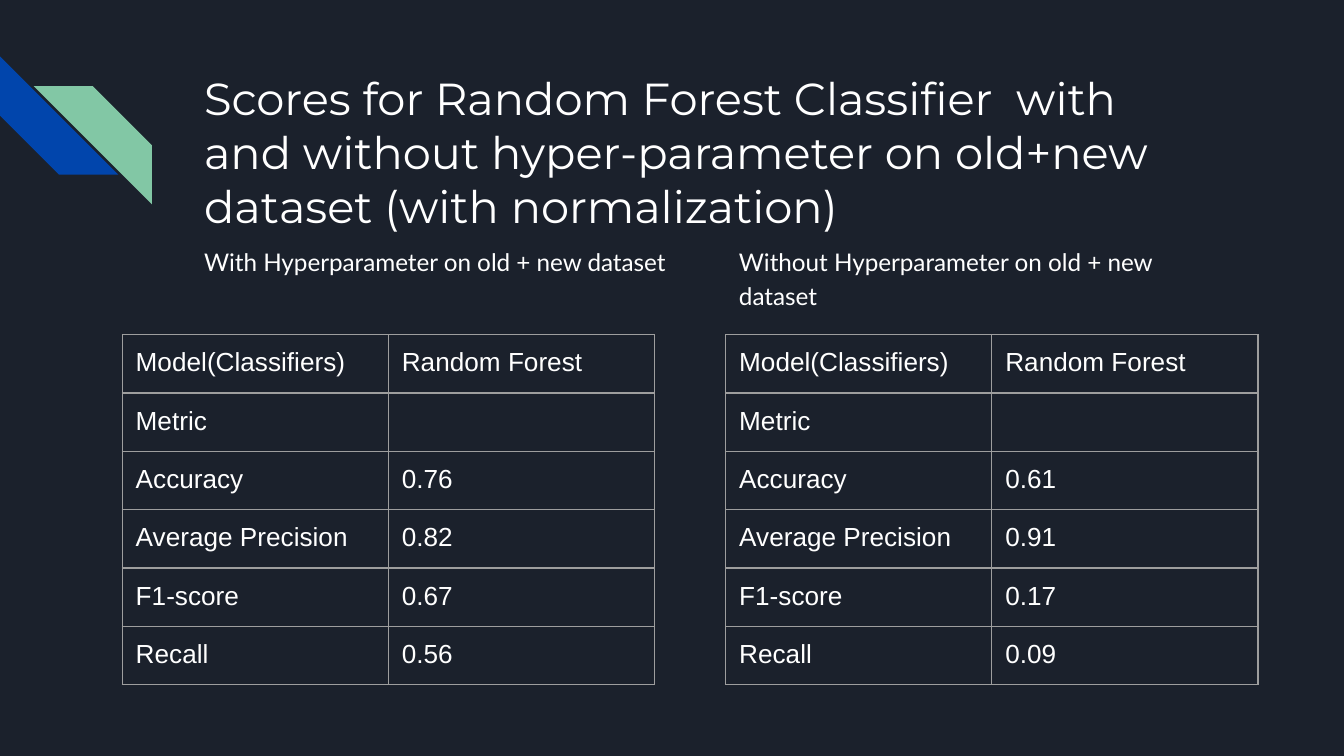
import pptx
import pptx.dml.color
import pptx.enum.shapes
import pptx.enum.text
import pptx.oxml
import pptx.oxml.ns
import pptx.util
from pptx.util import Inches

WHITE = "FFFFFF"
BORDER = "9E9E9E"
METRICS = ["Accuracy", "Average Precision", "F1-score", "Recall"]
PANELS = [
    (1.42, 0.91, "With Hyperparameter on old + new dataset",
     ["0.76", "0.82", "0.67", "0.56"]),
    (5.4, 5.4, "Without Hyperparameter on old + new  dataset",
     ["0.61", "0.91", "0.17", "0.09"]),
]


def paint(color_format, color):
    """Give a fill or font a solid hex colour."""
    color_format.rgb = pptx.dml.color.RGBColor.from_string(color)


def style_paragraph(paragraph, font_name, size):
    """Set white text in one font and size on a paragraph."""
    paragraph.font.name = font_name
    paragraph.font.size = pptx.util.Pt(size)
    paint(paragraph.font.color, WHITE)


def set_margins(holder):
    """Set equal text margins on a text frame or cell."""
    holder.margin_left = holder.margin_right = Inches(0.1)
    holder.margin_top = holder.margin_bottom = Inches(0.1)


def add_stripe(slide, left, top, rotation, color):
    """Add one diagonal stripe of the corner ornament."""
    stripe = slide.shapes.add_shape(
        pptx.enum.shapes.MSO_SHAPE.DIAGONAL_STRIPE,
        Inches(left), Inches(top), Inches(0.88), Inches(0.88))
    stripe.adjustments[0] = 0.5
    stripe.rotation = rotation
    stripe.shadow.inherit = False
    stripe.fill.solid()
    paint(stripe.fill.fore_color, color)
    stripe.line.fill.background()


def add_text(slide, box, wording, font_name, size):
    """Add a wrapped text box and return its paragraph."""
    frame = slide.shapes.add_textbox(*map(Inches, box)).text_frame
    frame.word_wrap = True
    frame.vertical_anchor = pptx.enum.text.MSO_ANCHOR.TOP
    set_margins(frame)
    paragraph = frame.paragraphs[0]
    paragraph.text = wording
    style_paragraph(paragraph, font_name, size)
    return paragraph


def add_borders(cell):
    """Draw a thin grey line on each side of a cell."""
    properties = cell._tc.get_or_add_tcPr()
    for position, side in enumerate(["lnL", "lnR", "lnT", "lnB"]):
        line = pptx.oxml.parse_xml(
            f'<a:{side} {pptx.oxml.ns.nsdecls("a")} w="{pptx.util.Pt(0.75)}">'
            f'<a:solidFill><a:srgbClr val="{BORDER}"/></a:solidFill></a:{side}>')
        properties.insert(position, line)


def fill_cell(cell, wording):
    """Give a cell its borders, clear background and text."""
    cell.fill.background()
    add_borders(cell)
    if wording:
        set_margins(cell)
        cell.text = wording
        style_paragraph(cell.text_frame.paragraphs[0], "Arial", 14)
    else:
        cell.margin_top = cell.margin_bottom = 0
        cell.text_frame.paragraphs[0]._p.append(pptx.oxml.parse_xml(
            f'<a:endParaRPr {pptx.oxml.ns.nsdecls("a")} sz="1400"/>'))


def add_score_table(slide, left, scores):
    """Add the table of metrics for one model setting."""
    rows = [("Model(Classifiers)", "Random Forest"), ("Metric", "")]
    rows += zip(METRICS, scores)
    table = slide.shapes.add_table(
        len(rows), 2, Inches(left), Inches(2.49),
        Inches(3.96), Inches(0.42 * len(rows))).table
    table.first_row = table.horz_banding = False
    for row_index, row in enumerate(rows):
        for column_index, wording in enumerate(row):
            fill_cell(table.cell(row_index, column_index), wording)


def main():
    """Build and save the score comparison slide."""
    deck = pptx.Presentation()
    deck.slide_width = Inches(10)
    deck.slide_height = deck.slide_width * 9 // 16
    slide = deck.slides.add_slide(deck.slide_layouts[6])
    slide.background.fill.solid()
    paint(slide.background.fill.fore_color, "1B212C")

    add_stripe(slide, 0, 0.42, 270, "0145AC")
    add_stripe(slide, 0.25, 0.64, 90, "82C7A5")
    add_text(slide, (1.42, 0.43, 7.7, 1),
             "Scores for Random Forest Classifier  with and without "
             "hyper-parameter on old+new dataset (with normalization)",
             "Montserrat", 24)

    for heading_left, _, heading, _ in PANELS:
        paragraph = add_text(slide, (heading_left, 1.71, 3.72, 3.18),
                             heading, "Lato", 13)
        paragraph.line_spacing = 1.15
        paragraph.space_after = pptx.util.Pt(16)
    for _, table_left, _, scores in PANELS:
        add_score_table(slide, table_left, scores)
    deck.save("out.pptx")


if __name__ == "__main__":
    main()
